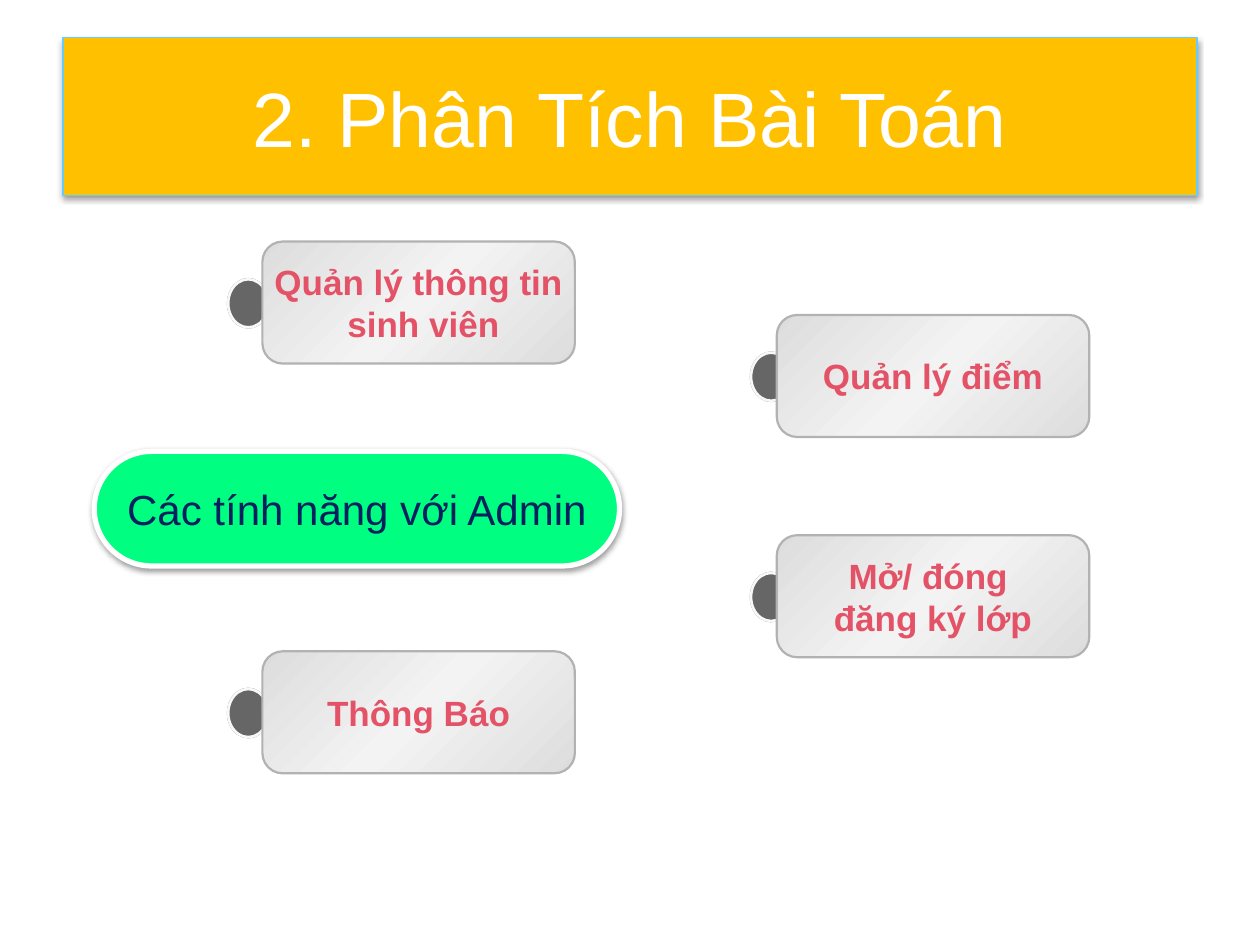
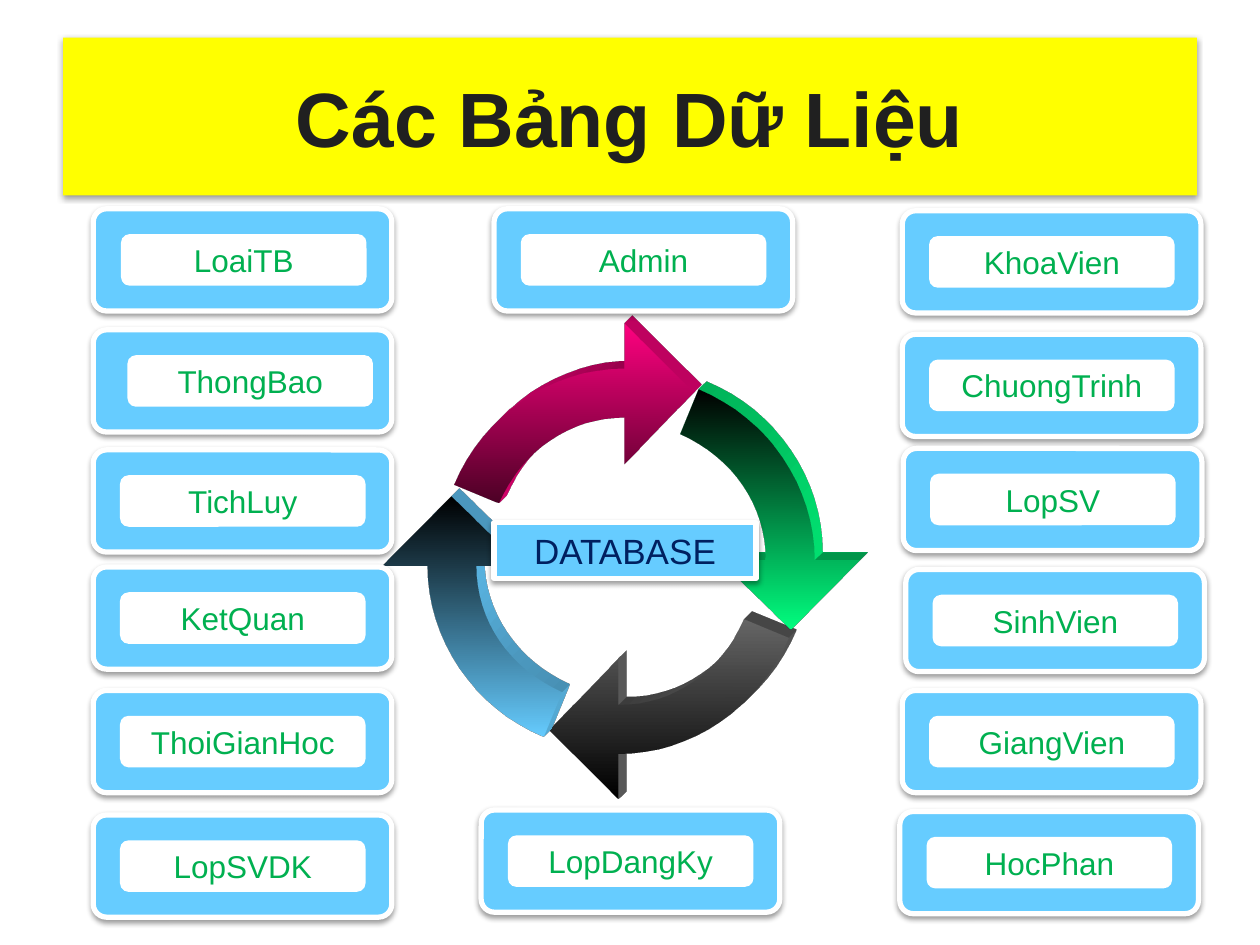
"""Build two slides: the admin features and the database tables."""
from lxml import etree
from pptx import Presentation
from pptx.dml.color import RGBColor
from pptx.enum.shapes import MSO_SHAPE
from pptx.enum.text import MSO_ANCHOR, PP_ALIGN
from pptx.oxml.ns import qn
from pptx.util import Cm, Pt

RECTANGLE = MSO_SHAPE.RECTANGLE
ROUNDED = MSO_SHAPE.ROUNDED_RECTANGLE
OVAL = MSO_SHAPE.OVAL
MIDDLE = MSO_ANCHOR.MIDDLE
CENTER = PP_ALIGN.CENTER

FONT = "Arial"
SOFT_SHADOW = {"blur": 40000, "distance": 20000, "alpha": 38000}
FLAT_SHADOW = {"blur": 0, "distance": 0, "alpha": 50000}
COLORS = {
    "white": "FFFFFF", "amber": "FFC000", "yellow": "FFFF00", "ink": "202020",
    "sky": "66CCFF", "mint": "00FF80", "navy": "002060", "green": "00B050",
    "rose": "E45267", "silver": "DDDDDD", "shine": "F3F3F3", "edge": "B2B2B2",
    "gray": "666666", "knob edge": "F8F8F8", "black": "000000",
    "magenta": "FF0080", "plum": "4D0026",
}


def style(shape, fills, line=None, width=1, angle=0, shadow=None):
    """Set a solid or gradient fill, the outline and the shadow."""
    if len(fills) == 1:
        shape.fill.solid()
        shape.fill.fore_color.rgb = RGBColor.from_string(COLORS[fills[0]])
    else:
        shape.fill.gradient()
        shape.fill.gradient_angle = angle
        stops = shape._element.spPr.find(".//" + qn("a:gsLst"))
        for stop in list(stops):
            stops.remove(stop)
        for index, name in enumerate(fills):
            position = str(100000 * index // (len(fills) - 1))
            stop = etree.SubElement(stops, qn("a:gs"), pos=position)
            etree.SubElement(stop, qn("a:srgbClr"), val=COLORS[name])
    if line:
        shape.line.color.rgb = RGBColor.from_string(COLORS[line])
        shape.line.width = Pt(width)
    else:
        shape.line.fill.background()
    shape.shadow.inherit = False
    if shadow:
        effects = shape._element.spPr.find(qn("a:effectLst"))
        outer = etree.SubElement(
            effects, qn("a:outerShdw"), blurRad=str(shadow["blur"]),
            dist=str(shadow["distance"]), dir="5400000", rotWithShape="0")
        color = etree.SubElement(outer, qn("a:srgbClr"), val=COLORS["black"])
        etree.SubElement(color, qn("a:alpha"), val=str(shadow["alpha"]))


def write(shape, text, size, color, bold=False, wrap=False):
    """Put centred text in a shape."""
    frame = shape.text_frame
    frame.text = text
    frame.word_wrap = wrap
    frame.vertical_anchor = MIDDLE
    for paragraph in frame.paragraphs:
        paragraph.alignment = CENTER
        for run in paragraph.runs:
            run.font.name = FONT
            run.font.size = Pt(size)
            run.font.bold = bold
            run.font.color.rgb = RGBColor.from_string(COLORS[color])


presentation = Presentation()
presentation.slide_width, presentation.slide_height = Cm(25.4), Cm(19.05)

slides = []
for text, band, line, color, bold in [
    ("2. Phân Tích Bài Toán", "amber", "sky", "white", False),
    ("Các Bảng Dữ Liệu", "yellow", None, "ink", True),
]:
    slide = presentation.slides.add_slide(presentation.slide_layouts[5])
    title = slide.shapes.title
    title.left, title.top = Cm(1.27), Cm(0.76)
    title.width, title.height = Cm(22.86), Cm(3.18)
    style(title, [band], line, 0.75, shadow=SOFT_SHADOW)
    write(title, text, 44, color, bold, wrap=True)
    slides.append(slide)
features, tables = slides

pill = features.shapes.add_shape(ROUNDED, Cm(1.9), Cm(9.1), Cm(10.59), Cm(2.31))
pill.adjustments[0] = 0.5
style(pill, ["mint"], "white", 3, shadow=SOFT_SHADOW)
write(pill, "Các tính năng với Admin", 24, "navy")

for knob_left, card_left, top, text in [
    (4.52, 5.29, 13.13, "Thông Báo"),
    (15.06, 15.66, 6.35, "Quản lý điểm"),
    (15.06, 15.66, 10.79, "Mở/ đóng \nđăng ký lớp"),
    (4.52, 5.29, 4.87, "Quản lý thông tin\n sinh viên"),
]:
    knob = features.shapes.add_shape(
        OVAL, Cm(knob_left), Cm(top + 0.84), Cm(0.97), Cm(0.81))
    knob.rotation = 90
    style(knob, ["gray"], "knob edge", 1.5, shadow=FLAT_SHADOW)
    card = features.shapes.add_shape(
        ROUNDED, Cm(card_left), Cm(top), Cm(6.3), Cm(2.46))
    style(card, ["silver", "shine", "silver"], "edge", 1.25, angle=315)
    write(card, text, 20, "rose", bold=True)

inner_arc = [(0, 2.72), (1.09, 2.72), (2.06, 2.06), (2.53, 1)]
outer_arc = [(3.43, 1.37), (2.84, 2.79), (1.47, 3.71), (0, 3.71)]
arrow_outline = inner_arc + outer_arc + [(0, 4.62), (-1.4, 3.23), (0, 1.78)]

for quarter_turns, center_x, center_y, face, side in [
    (0, 12.47, 11.48, ["gray", "black"], "gray"),
    (1, 12.33, 11.42, ["black", "sky"], "sky"),
    (2, 12.59, 11.14, ["magenta", "plum"], "magenta"),
    (3, 12.71, 11.29, ["black", "mint"], "mint"),
]:
    outline = arrow_outline
    for turn in range(quarter_turns):
        outline = [(-y, x) for x, y in outline]
    points = [(Cm(center_x + x), Cm(center_y + y)) for x, y in outline]
    builder = tables.shapes.build_freeform(*points[0])
    builder.add_line_segments(points[1:], close=True)
    arrow = builder.convert_to_shape()
    style(arrow, face, angle=270)
    properties = arrow._element.spPr
    segments = properties.findall(".//" + qn("a:lnTo"))
    for first in (0, 4):
        curve = etree.Element(qn("a:cubicBezTo"))
        segments[first].addprevious(curve)
        for segment in segments[first:first + 3]:
            curve.append(segment[0])
            segment.getparent().remove(segment)
    scene = etree.SubElement(properties, qn("a:scene3d"))
    etree.SubElement(scene, qn("a:camera"), prst="legacyObliqueTopRight")
    etree.SubElement(scene, qn("a:lightRig"), rig="legacyFlat3", dir="b")
    solid = etree.SubElement(properties, qn("a:sp3d"), extrusionH="165000",
                             prstMaterial="legacyMatte")
    extrusion = etree.SubElement(solid, qn("a:extrusionClr"))
    etree.SubElement(extrusion, qn("a:srgbClr"), val=COLORS[side])

for left, top, inset, name in [
    (18.19, 6.74, 0.54, "ChuongTrinh"),
    (18.21, 9.04, 0.54, "LopSV"),
    (18.19, 13.92, 0.54, "GiangVien"),
    (18.26, 11.48, 0.54, "SinhVien"),
    (9.7, 16.33, 0.54, "LopDangKy"),
    (1.88, 16.43, 0.54, "LopSVDK"),
    (1.88, 13.92, 0.54, "ThoiGianHoc"),
    (1.88, 11.43, 0.54, "KetQuan"),
    (1.88, 9.07, 0.54, "TichLuy"),
    (1.88, 6.65, 0.69, "ThongBao"),
    (18.19, 4.25, 0.54, "KhoaVien"),
    (9.96, 4.21, 0.54, "Admin"),
    (1.88, 4.21, 0.56, "LoaiTB"),
    (18.14, 16.36, 0.54, "HocPhan"),
]:
    frame_box = tables.shapes.add_shape(ROUNDED, Cm(left), Cm(top), Cm(6.02), Cm(2.06))
    frame_box.adjustments[0] = 0.13
    style(frame_box, ["sky"], "white", 3, shadow=SOFT_SHADOW)
    label = tables.shapes.add_shape(
        ROUNDED, Cm(left + inset), Cm(top + 0.51), Cm(4.95), Cm(1.04))
    style(label, ["white"])
    write(label, name, 18, "green")

database = tables.shapes.add_shape(RECTANGLE, Cm(9.96), Cm(10.54), Cm(5.28), Cm(1.12))
style(database, ["sky"], "white", 3, shadow=SOFT_SHADOW)
write(database, "DATABASE", 20, "navy", wrap=True)

presentation.save("out.pptx")
